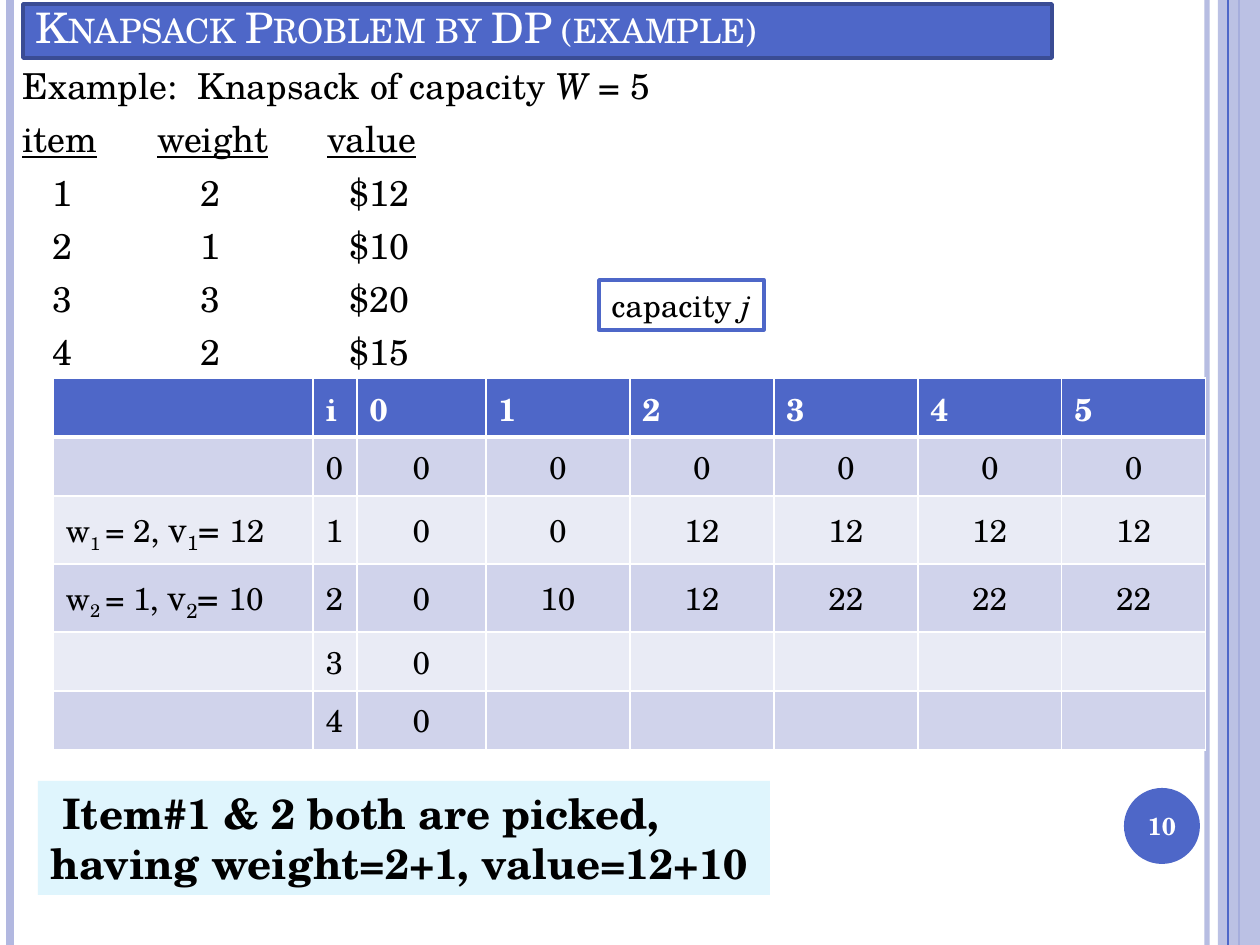
from lxml.etree import SubElement
from pptx import Presentation
from pptx.dml.color import RGBColor
from pptx.enum.shapes import MSO_CONNECTOR as CONN, MSO_SHAPE as SHAPE
from pptx.enum.text import MSO_ANCHOR as ANCHOR, MSO_AUTO_SIZE as FIT, PP_ALIGN as ALIGN
from pptx.oxml.ns import qn
from pptx.util import Pt

FONT = "TeX Gyre Schola"
COLORS = {
    "black": "000000", "white": "FFFFFF", "blue": "4E67C8", "navy": "3A4C94",
    "lilac": "B2B8E0", "band": "D0D3EB", "pale": "E9EBF5", "sky": "DFF5FD",
}
SUB = {"baseline": "-25000"}
ITALIC = {"i": "1"}


def px(n):
    """Turn px, 126 to the inch, into EMU."""
    return round(n * 914400 / 126)


def rgb(name):
    """Look up a colour by name."""
    return RGBColor.from_string(COLORS[name])


def write(p, runs, size=18, color="black", bold=False, align=ALIGN.LEFT):
    """Fill a paragraph with (text, attributes) runs; a plain string is one run."""
    p.alignment = align
    for text, attrs in [(runs, {})] if isinstance(runs, str) else runs:
        r = p.add_run()
        r.text = text
        f = r.font
        f.name, f.size, f.bold = FONT, Pt(size), bold
        f.color.rgb = rgb(color)
        for key, value in attrs.items():
            r._r.get_or_add_rPr().set(key, value)


def set_tabs(p, stops):
    """Give a paragraph left tab stops in px."""
    tabs = SubElement(p._p.get_or_add_pPr(), qn("a:tabLst"))
    for stop in stops:
        SubElement(tabs, qn("a:tab"), pos=str(px(stop)), algn="l")


def add_box(s, kind, box, fill, line=None):
    """Add a flat shape with an optional 2 pt outline."""
    sp = s.shapes.add_shape(kind, *map(px, box))
    sp.shadow.inherit = False
    sp.fill.solid()
    sp.fill.fore_color.rgb = rgb(fill)
    if line:
        sp.line.color.rgb = rgb(line)
        sp.line.width = Pt(2)
    else:
        sp.line.fill.background()
    return sp


def set_alpha(fill_owner, percent):
    """Make the solid colour inside an element partly transparent."""
    clr = next(fill_owner.iter(qn("a:srgbClr")))
    SubElement(clr, qn("a:alpha"), val=str(percent * 1000))


def add_frame(s, height):
    """Draw the vertical rules and the band at the slide edges."""
    def rule(x, color, width):
        ln = s.shapes.add_connector(CONN.STRAIGHT, px(x), 0, px(x), px(height))
        ln.line.color.rgb = rgb(color)
        ln.line.width = Pt(width)
        SubElement(ln._element.spPr, qn("a:effectLst"))
        return ln

    set_alpha(rule(1207, "lilac", 3)._element.spPr, 93)
    rule(10, "lilac", 4.5)
    rule(1239, "blue", 1.5)
    band = add_box(s, SHAPE.RECTANGLE, (1218, 0, 42, height), "lilac")
    set_alpha(band._element.spPr, 87)
    rule(1228, "blue", 0.75)


def add_title(s, box, text):
    """Format the title placeholder as a filled bar."""
    sp = s.shapes.title
    sp.left, sp.top, sp.width, sp.height = map(px, box)
    sp.fill.solid()
    sp.fill.fore_color.rgb = rgb("blue")
    sp.line.color.rgb = rgb("navy")
    sp.line.width = Pt(2)
    tf = sp.text_frame
    tf.auto_size = FIT.NONE
    tf.vertical_anchor = ANCHOR.BOTTOM
    write(tf.paragraphs[0], [(text, {"cap": "small"})], 24, "white")


def add_items(s, box):
    """Write the problem statement and the tabbed list of items."""
    tf = s.shapes.add_textbox(*map(px, box)).text_frame
    tf.word_wrap = True
    items = [(1, 2, 12), (2, 1, 10), (3, 3, 20), (4, 2, 15)]
    head = [("Example:\tKnapsack of capacity ", {}), ("W ", ITALIC), ("= 5", {})]
    names = [("item\tweight\tvalue\t", {"u": "sng"})]
    rows = [(head, [175]), (names, [135, 305, 522])]
    rows += [(f"\t{i}\t{w}\t${v}", [30, 178, 327]) for i, w, v in items]
    for n, (runs, stops) in enumerate(rows):
        p = tf.add_paragraph() if n else tf.paragraphs[0]
        set_tabs(p, stops)
        p.line_spacing = Pt(24.4)
        if n:
            p.space_before = Pt(6)
        write(p, runs, 20.4)


def item_label(p, i, w, v):
    """Write an item's weight and value with subscripts."""
    write(p, [("w", {}), (f"{i} ", SUB), (f"= {w}, ", {})])
    write(p, [("v", {}), (f"{i}", SUB), ("= ", {})], 20)
    write(p, f"{v}")


def set_borders(cell, top, bottom):
    """Give a cell white borders, 1 pt at the sides."""
    tcPr = cell._tc.get_or_add_tcPr()
    for side, width in zip("LRTB", (1, 1, top, bottom)):
        ln = SubElement(tcPr, qn(f"a:ln{side}"), w=str(Pt(width)))
        fill = SubElement(ln, qn("a:solidFill"))
        SubElement(fill, qn("a:srgbClr"), val=COLORS["white"])


def add_dp_table(s, left, top):
    """Add the dynamic programming table of best values."""
    widths = [260, 44, 129] + [144] * 5 + []
    heights = [59, 59, 68, 68, 59, 59]
    labels = {2: (1, 2, 12), 3: (2, 1, 10)}
    values = [
        ["i", 0, 1, 2, 3, 4, 5],
        [0] + [0] * 6,
        [1, 0, 0] + [12] * 4,
        [2, 0, 10, 12] + [22] * 3,
        [3, 0],
        [4, 0],
    ]
    box = (left, top, sum(widths), sum(heights))
    t = s.shapes.add_table(len(heights), len(widths), *map(px, box)).table
    for col, w in zip(t.columns, widths):
        col.width = px(w)
    for y, (row, h) in enumerate(zip(t.rows, heights)):
        row.height = px(h)
        for x, cell in enumerate(row.cells):
            set_borders(cell, 3 if y == 1 else 1, 1 if y else 3)
            cell.fill.solid()
            fill = ("band" if y % 2 else "pale") if y else "blue"
            cell.fill.fore_color.rgb = rgb(fill)
            cell.vertical_anchor = ANCHOR.MIDDLE
            p = cell.text_frame.paragraphs[0]
            if x == 0 and y in labels:
                item_label(p, *labels[y])
            elif 0 < x <= len(values[y]):
                align = ALIGN.CENTER if y and x > 1 else ALIGN.LEFT
                color = "black" if y else "white"
                write(p, str(values[y][x - 1]), 18, color, not y, align)


def add_capacity(s, box):
    """Add the outlined caption over the table columns."""
    tf = add_box(s, SHAPE.RECTANGLE, box, "white", "blue").text_frame
    tf.word_wrap = False
    write(tf.paragraphs[0], [("capacity ", {}), ("j", ITALIC)])


def add_page_number(s, box, number):
    """Add the round page number badge."""
    tf = add_box(s, SHAPE.OVAL, box, "blue").text_frame
    tf.margin_left = tf.margin_right = 0
    tf.vertical_anchor = ANCHOR.MIDDLE
    write(tf.paragraphs[0], number, 14, "white", True, ALIGN.CENTER)


def add_conclusion(s, box, lines):
    """Add the tinted two-line conclusion, its first line indented."""
    tf = add_box(s, SHAPE.RECTANGLE, box, "sky").text_frame
    tf.word_wrap = False
    for n, line in enumerate(lines):
        p = tf.add_paragraph() if n else tf.paragraphs[0]
        p._p.get_or_add_pPr().set("marL", str(0 if n else px(12)))
        write(p, line, 24, bold=True)


def main():
    """Build the slide and save it."""
    prs = Presentation()
    prs.slide_width, prs.slide_height = px(1260), px(945)
    s = prs.slides.add_slide(prs.slide_layouts[5])
    add_frame(s, 945)
    add_title(s, (23, 4, 1029, 54), "Knapsack Problem by DP (example)")
    add_items(s, (10, 58, 935, 284))
    add_dp_table(s, 53, 378)
    add_capacity(s, (599, 280, 165, 50))
    add_page_number(s, (1124, 788, 76, 76), "10")
    add_conclusion(s, (38, 781, 732, 114),
                   ["Item#1 & 2 both are picked,", "having weight=2+1, value=12+10"])
    prs.save("out.pptx")


if __name__ == "__main__":
    main()
